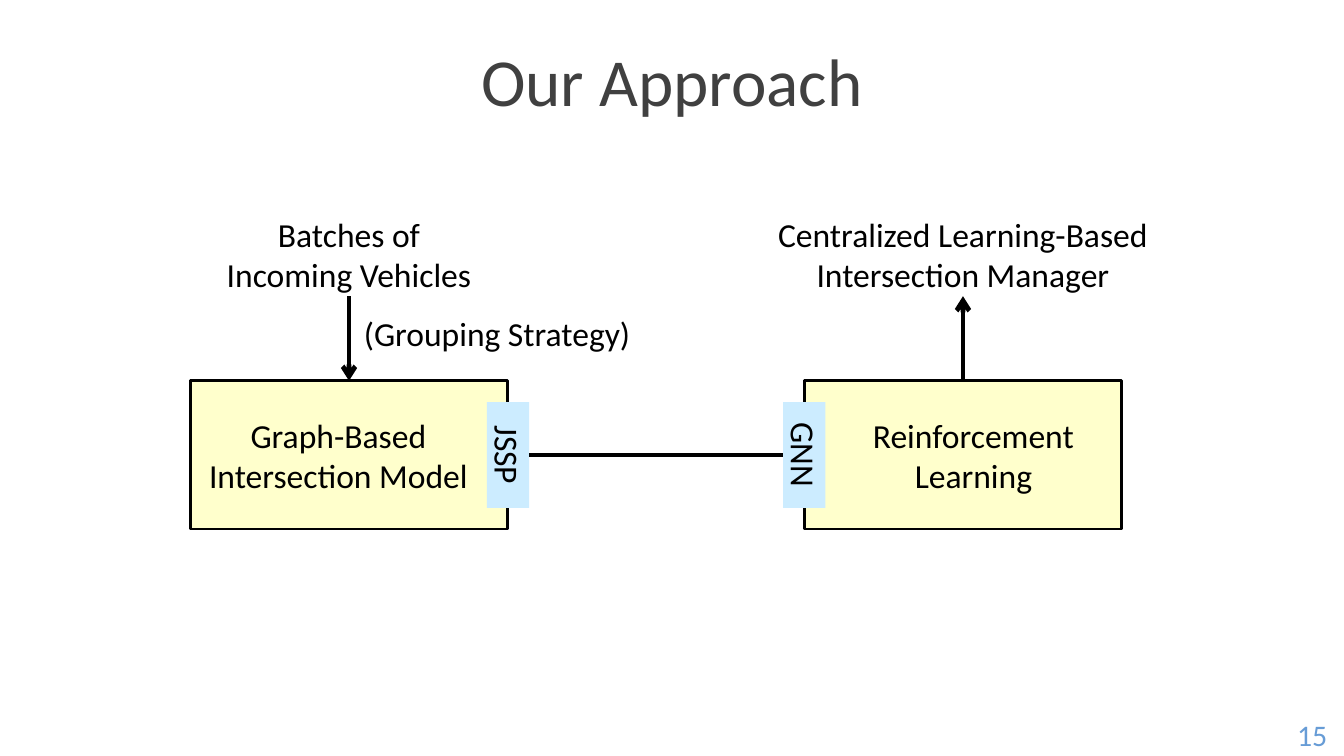
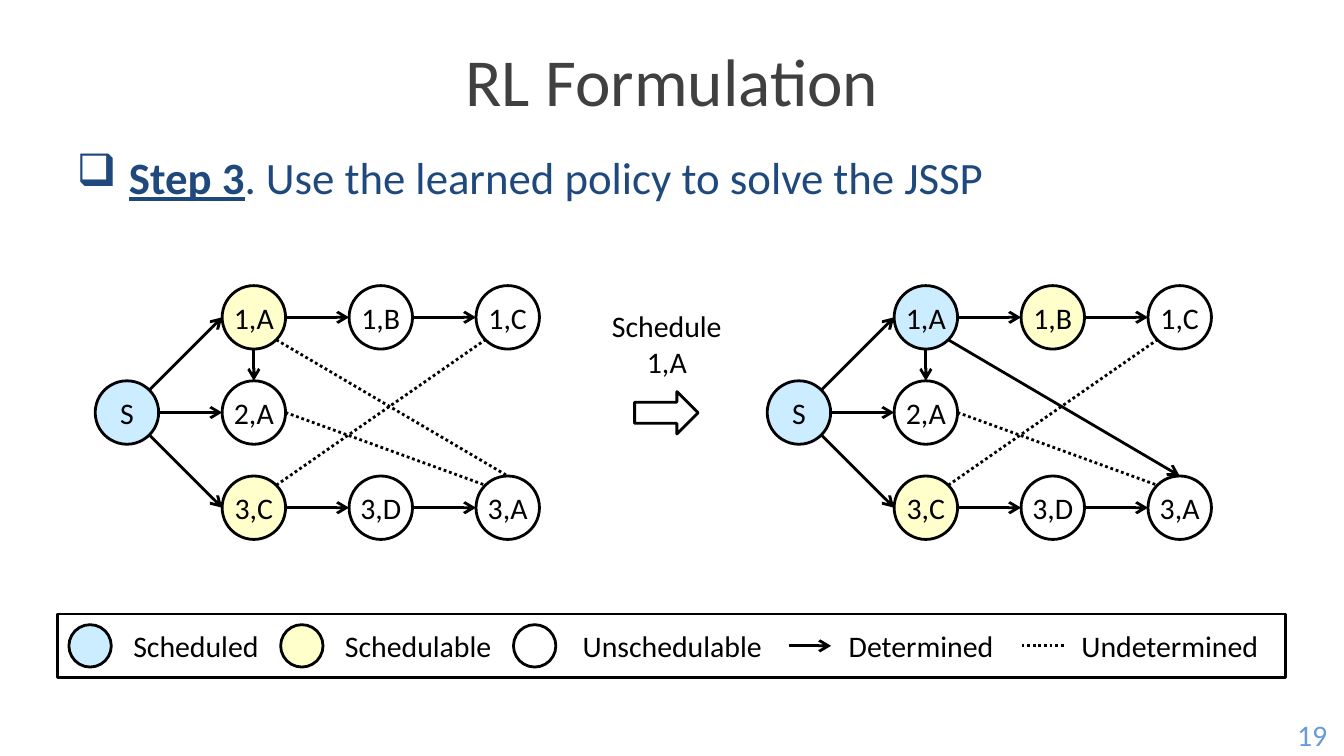
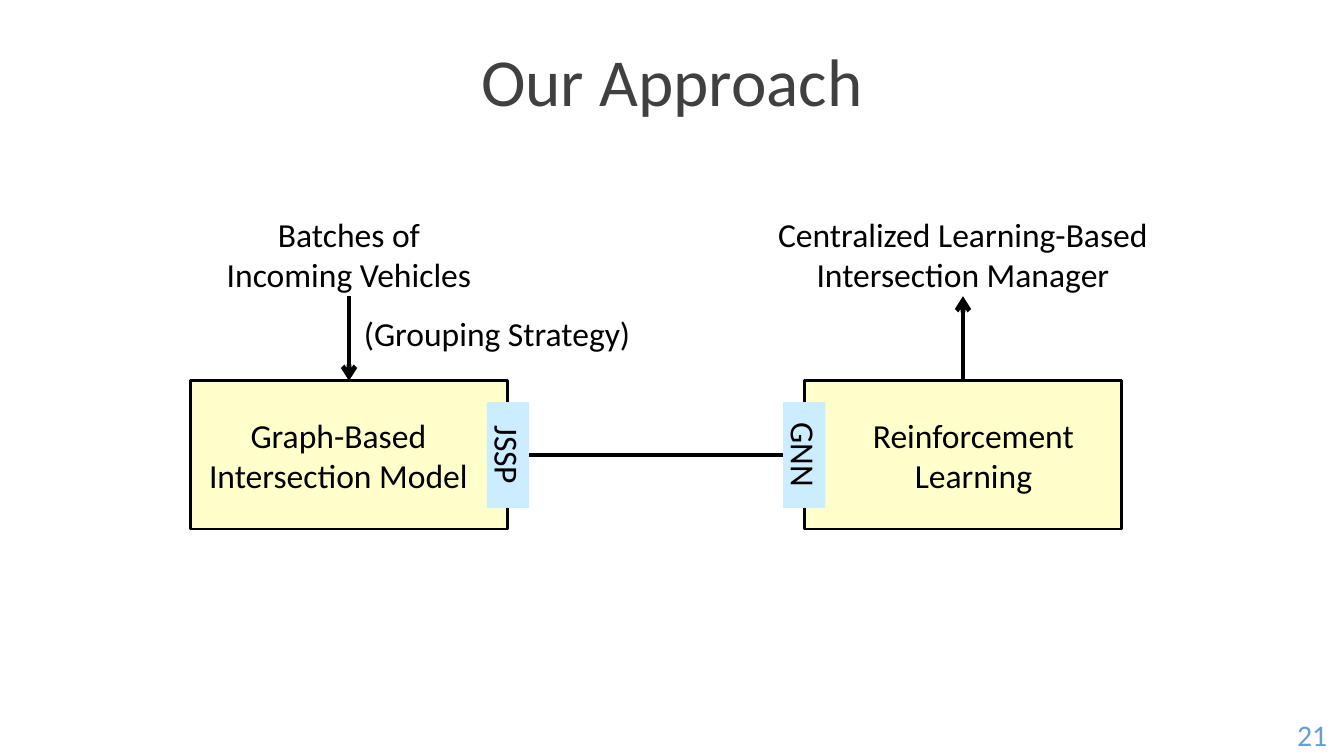
from lxml import etree
from pptx import Presentation
from pptx import util as u
from pptx.dml.color import RGBColor
from pptx.enum import dml, shapes, text
from pptx.oxml import ns

BLACK = RGBColor(0x00, 0x00, 0x00)
GREY = RGBColor(0x40, 0x40, 0x40)
NAVY = RGBColor(0x1F, 0x49, 0x7D)
SKY = RGBColor(0x67, 0x9C, 0xD6)
YELLOW = RGBColor(0xFF, 0xFF, 0xCC)
BLUE = RGBColor(0xCC, 0xEC, 0xFF)

Pt = u.Pt
KIND = shapes.MSO_SHAPE
NO_INSET = (0, 0, 0, 0)
DEFAULT_INSET = (7.2, 3.6, 7.2, 3.6)

TITLE = {"size": Pt(36), "color": GREY}
NUMBER = {"size": Pt(16), "color": SKY}
STEP = {"size": Pt(24), "color": NAVY}
FLOW = {"size": Pt(18), "color": BLACK}
GRAPH = {"size": Pt(16), "color": BLACK}

NODE, COL, ROW = 34, 68, 51
ROOT_HALF = 0.71
SIDES = {
    "n": (0, -1), "s": (0, 1), "e": (1, 0), "w": (-1, 0),
    "ne": (ROOT_HALF, -ROOT_HALF), "se": (ROOT_HALF, ROOT_HALF),
    "nw": (-ROOT_HALF, -ROOT_HALF), "sw": (-ROOT_HALF, ROOT_HALF),
}
NODES = {
    "S": (0, 1), "2,A": (1, 1),
    "1,A": (1, 0), "1,B": (2, 0), "1,C": (3, 0),
    "3,C": (1, 2), "3,D": (2, 2), "3,A": (3, 2),
}
DETERMINED = [
    ("S", "ne", "1,A", "w"), ("S", "e", "2,A", "w"), ("S", "se", "3,C", "w"),
    ("1,A", "e", "1,B", "w"), ("1,B", "e", "1,C", "w"),
    ("3,C", "e", "3,D", "w"), ("3,D", "e", "3,A", "w"),
    ("1,A", "s", "2,A", "n"),
]
UNDETERMINED = [("3,C", "ne", "1,C", "sw"), ("2,A", "e", "3,A", "nw")]
CONFLICT = ("1,A", "se", "3,A", "n")


def set_font(font, fmt):
    font.name = "Calibri"
    for key, value in fmt.items():
        if key == "color":
            font.color.rgb = value
        else:
            setattr(font, key, value)


def fill_text(tf, content, fmt, inset, wrap=True):
    left, top, right, bottom = map(Pt, inset)
    frame = {
        "margin_left": left, "margin_top": top,
        "margin_right": right, "margin_bottom": bottom,
        "word_wrap": wrap, "vertical_anchor": text.MSO_ANCHOR.MIDDLE,
    }
    for key, value in frame.items():
        setattr(tf, key, value)
    for i, line in enumerate(content.split("\n")):
        p = tf.add_paragraph() if i else tf.paragraphs[0]
        p.alignment = text.PP_ALIGN.CENTER
        r = p.add_run()
        r.text = line
        set_font(r.font, fmt)


def add_label(s, box, content, fmt, inset=NO_INSET, wrap=False):
    sp = s.shapes.add_textbox(*map(Pt, box))
    fill_text(sp.text_frame, content, fmt, inset, wrap)


def add_block(s, kind, box, fill=None, outline=True):
    sp = s.shapes.add_shape(kind, *map(Pt, box))
    sp.shadow.inherit = False
    if fill is None:
        sp.fill.background()
    else:
        sp.fill.solid()
        sp.fill.fore_color.rgb = fill
    if outline:
        sp.line.color.rgb = BLACK
        sp.line.width = Pt(1.5)
    else:
        sp.line.fill.background()
    return sp


def add_line(s, start, end, width=1.5, arrow=False, dotted=False):
    sp = s.shapes.add_connector(
        shapes.MSO_CONNECTOR.STRAIGHT, *map(Pt, start + end))
    sp.line.color.rgb = BLACK
    sp.line.width = Pt(width)
    if dotted:
        sp.line.dash_style = dml.MSO_LINE.ROUND_DOT
    if arrow:
        ln = sp.line._get_or_add_ln()
        etree.SubElement(ln, ns.qn("a:tailEnd"), type="arrow")
    etree.SubElement(sp._element.spPr, ns.qn("a:effectLst"))


def add_slide(prs, title, number):
    s = prs.slides.add_slide(prs.slide_layouts[6])
    add_label(s, (34, 17, 652, 51), title, TITLE, DEFAULT_INSET, True)
    add_label(s, (686, 382.5, 34, 22.5), str(number), NUMBER, DEFAULT_INSET, True)
    return s


def add_stage(s, left, content, inset, tag_left, tag):
    sp = add_block(s, KIND.RECTANGLE, (left, 204, 170, 79.4), YELLOW)
    fill_text(sp.text_frame, content, FLOW, inset)
    sp = add_block(s, KIND.RECTANGLE, (tag_left, 215.4, 22.7, 56.7), BLUE, False)
    fill_text(sp.text_frame, tag, FLOW, NO_INSET)
    sp.text_frame._txBody.bodyPr.set("vert", "vert")


def add_approach(prs, number):
    s = add_slide(prs, "Our Approach", number)
    add_stage(s, 102, "Graph-Based\nIntersection Model", (0, 0, 11.4, 0), 260.8, "JSSP")
    add_stage(s, 430.8, "Reinforcement\nLearning", (11.4, 0, 0, 0), 419.5, "GNN")
    add_line(s, (283.5, 243.8), (419.5, 243.8), 2.5)
    add_label(s, (102, 113.4, 170, 45.4), "Batches of\nIncoming Vehicles", FLOW)
    add_line(s, (187, 158.7), (187, 204), 2.5, arrow=True)
    add_label(s, (187, 167.2, 158.7, 22.7), "(Grouping Strategy)", FLOW)
    add_label(s, (413.9, 113.4, 204, 45.4),
              "Centralized Learning-Based\nIntersection Manager", FLOW)
    add_line(s, (515.9, 204), (515.9, 158.7), 2.5, arrow=True)


def add_step(s, step, rest):
    tf = s.shapes.add_textbox(*map(Pt, (34, 76.5, 652, 306))).text_frame
    tf.word_wrap = True
    p = tf.paragraphs[0]
    pPr = p._p.get_or_add_pPr()
    pPr.set("marL", str(Pt(28)))
    pPr.set("indent", str(-Pt(28)))
    etree.SubElement(pPr, ns.qn("a:buChar"), char="❑")
    for content, marked in ((step, True), (rest, False)):
        r = p.add_run()
        r.text = content
        set_font(r.font, {**STEP, "bold": marked, "underline": marked})


def add_graph(s, left, top, fills, determined, undetermined):
    def site(name, side):
        col, row = NODES[name]
        dx, dy = SIDES[side]
        return (left + col * COL + NODE / 2 * (1 + dx),
                top + row * ROW + NODE / 2 * (1 + dy))

    for name, (col, row) in NODES.items():
        box = (left + col * COL, top + row * ROW, NODE, NODE)
        sp = add_block(s, KIND.OVAL, box, fills.get(name))
        fill_text(sp.text_frame, name, GRAPH, NO_INSET)
    for a, side_a, b, side_b in determined:
        add_line(s, site(a, side_a), site(b, side_b), arrow=True)
    for a, side_a, b, side_b in undetermined:
        add_line(s, site(a, side_a), site(b, side_b), dotted=True)


def add_legend(s):
    size, gap, mid = 22.7, 5.67, 346
    states = [("Scheduled", BLUE, 79.4), ("Schedulable", YELLOW, 90.7),
              ("Unschedulable", None, 113.4)]
    edges = [("Determined", {"arrow": True}, 96.4),
             ("Undetermined", {"dotted": True}, 113.4)]
    x = 36.9
    for name, fill, width in states:
        add_block(s, KIND.OVAL, (x, mid - size / 2, size, size), fill)
        x += size + gap
        add_label(s, (x, mid - 8.5, width, 17), name, GRAPH, wrap=True)
        x += width + gap
    for name, style, width in edges:
        add_line(s, (x, mid), (x + size, mid), **style)
        x += size
        add_label(s, (x, mid - 8.5, width, 17), name, GRAPH, wrap=True)
        x += width + gap
    add_block(s, KIND.RECTANGLE, (31, 329, 657.5, 34))


def add_formulation(prs, number):
    s = add_slide(prs, "RL Formulation", number)
    add_step(s, "Step 3", ". Use the learned policy to solve the JSSP")
    add_block(s, KIND.RIGHT_ARROW, (340, 209.8, 34, 22.7))
    add_label(s, (317.5, 167.2, 79.4, 34), "Schedule\n1,A", GRAPH)
    add_legend(s)
    add_graph(s, 51, 153, {"S": BLUE, "1,A": YELLOW, "3,C": YELLOW},
              DETERMINED, UNDETERMINED + [CONFLICT])
    add_graph(s, 411, 153, {"S": BLUE, "1,A": BLUE, "1,B": YELLOW, "3,C": YELLOW},
              DETERMINED + [CONFLICT], UNDETERMINED)


def main():
    prs = Presentation()
    prs.slide_width, prs.slide_height = Pt(720), Pt(405)
    add_approach(prs, 15)
    add_formulation(prs, 19)
    add_approach(prs, 21)
    prs.save("out.pptx")


if __name__ == "__main__":
    main()
